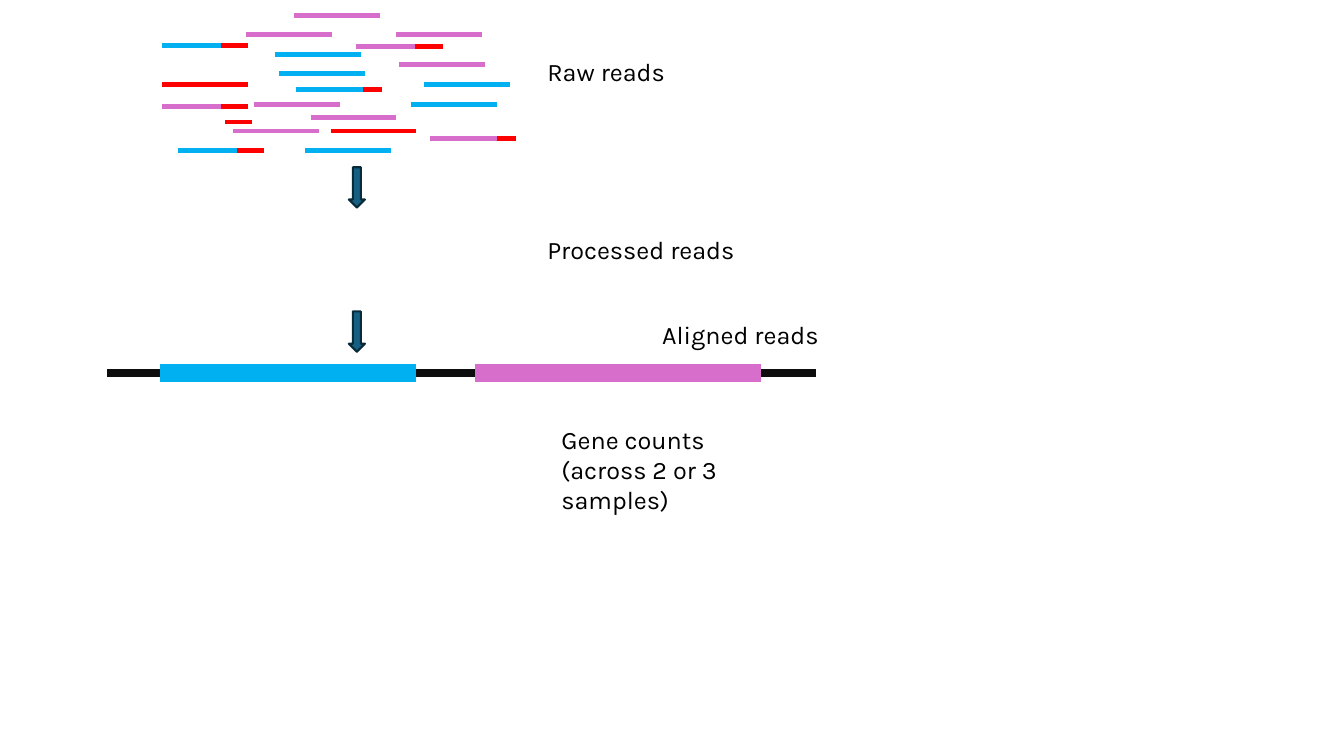
"""Draw the path from raw reads to gene counts on a grid of tenth-inch cells."""
from dataclasses import dataclass

from lxml.etree import SubElement
from pptx import Presentation
from pptx.dml.color import RGBColor
from pptx.enum.shapes import MSO_CONNECTOR, MSO_SHAPE
from pptx.enum.text import MSO_AUTO_SIZE
from pptx.oxml.ns import qn
from pptx.slide import Slide
from pptx.util import Inches, Pt

LINE = MSO_CONNECTOR.STRAIGHT
DOWN = MSO_SHAPE.DOWN_ARROW
GROW = MSO_AUTO_SIZE.SHAPE_TO_FIT_TEXT
BLANK = 6
BLUE, PINK, RED, BLACK = "00B0F0", "D86ECC", "FF0000", "0D0D0D"
INK, TEAL, EDGE = "000000", "156082", "092A39"
FONT = "Karla"
READ, TAG, TIP = 8.5, 2.7, 1.9


@dataclass
class Stroke:
    col: float
    row: float
    hue: str
    span: float = READ
    weight: float = 3.5


@dataclass
class Label:
    col: float
    row: float
    wide: float
    high: float
    lines: tuple[str, ...]


@dataclass
class Arrow:
    col: float
    row: float
    wide: float = 1.6
    high: float = 4


READS = [
    Stroke(16.1, 4.5, BLUE, READ - TAG),
    Stroke(21.9, 4.5, RED, TAG),
    Stroke(16.1, 8.4, RED),
    Stroke(24.4, 3.4, PINK),
    Stroke(39.3, 3.4, PINK),
    Stroke(29.2, 1.5, PINK),
    Stroke(39.6, 6.4, PINK),
    Stroke(16.1, 10.6, PINK),
    Stroke(25.2, 10.4, PINK),
    Stroke(23.1, 13, PINK),
    Stroke(42.7, 13.7, PINK),
    Stroke(35.3, 4.6, PINK),
    Stroke(27.7, 7.3, BLUE),
    Stroke(29.4, 8.9, BLUE),
    Stroke(40.8, 10.4, BLUE),
    Stroke(17.7, 14.9, BLUE),
    Stroke(30.3, 14.9, BLUE),
    Stroke(27.3, 5.4, BLUE),
    Stroke(42.1, 8.4, BLUE),
    Stroke(30.8, 11.7, PINK),
    Stroke(41.2, 4.6, RED, TAG),
    Stroke(49.3, 13.7, RED, TIP),
    Stroke(32.8, 13, RED),
    Stroke(36, 8.9, RED, TIP),
    Stroke(21.9, 10.6, RED, TAG),
    Stroke(23.5, 14.9, RED, TAG),
    Stroke(22.3, 12.1, RED, TAG),
]
GENOME = [
    Stroke(10.6, 37, BLACK, 70.3, 5.5),
    Stroke(15.9, 37, BLUE, 25.4, 12.5),
    Stroke(47.1, 37, PINK, 28.4, 12.5),
]
LABELS = [
    Label(53.3, 5.1, 18.3, 4, ("Raw reads",)),
    Label(53.3, 22.8, 25.4, 4, ("Processed reads",)),
    Label(64.7, 31.2, 25.4, 4, ("Aligned reads",)),
    Label(54.7, 41.6, 25.4, 10.1, ("Gene counts", "(across 2 or 3 samples)")),
]
ARROWS = [Arrow(34.6, 16.6), Arrow(34.6, 30.9)]


def cell(count: float) -> int:
    """Turn a count of grid cells into a length."""
    return Inches(count / 10)


def tint(code: str) -> RGBColor:
    """Turn a hex string into a colour."""
    return RGBColor.from_string(code)


def draw_stroke(slide: Slide, item: Stroke) -> None:
    """Draw one level line."""
    row = cell(item.row)
    line = slide.shapes.add_connector(
        LINE, cell(item.col), row, cell(item.col + item.span), row)
    line.line.color.rgb = tint(item.hue)
    line.line.width = Pt(item.weight)
    SubElement(line._element.spPr, qn("a:effectLst"))


def draw_label(slide: Slide, item: Label) -> None:
    """Write one label, with its lines in one paragraph."""
    box = slide.shapes.add_textbox(
        cell(item.col), cell(item.row), cell(item.wide), cell(item.high))
    frame = box.text_frame
    frame.word_wrap = True
    frame.auto_size = GROW
    para = frame.paragraphs[0]
    for place, words in enumerate(item.lines):
        if place:
            para.add_line_break()
        para.add_run().text = words
    para.font.name = FONT
    para.font.size = Pt(18)
    para.font.color.rgb = tint(INK)


def draw_arrow(slide: Slide, item: Arrow) -> None:
    """Draw one down arrow."""
    shape = slide.shapes.add_shape(
        DOWN, cell(item.col), cell(item.row), cell(item.wide), cell(item.high))
    shape.shadow.inherit = False
    shape.fill.solid()
    shape.fill.fore_color.rgb = tint(TEAL)
    shape.line.color.rgb = tint(EDGE)
    shape.line.width = Pt(1.5)


def main() -> None:
    """Build the slide and save it."""
    deck = Presentation()
    deck.slide_width, deck.slide_height = Inches(13.33), Inches(7.5)
    slide = deck.slides.add_slide(deck.slide_layouts[BLANK])
    for item in GENOME + READS:
        draw_stroke(slide, item)
    for item in LABELS:
        draw_label(slide, item)
    for item in ARROWS:
        draw_arrow(slide, item)
    deck.save("out.pptx")


if __name__ == "__main__":
    main()
